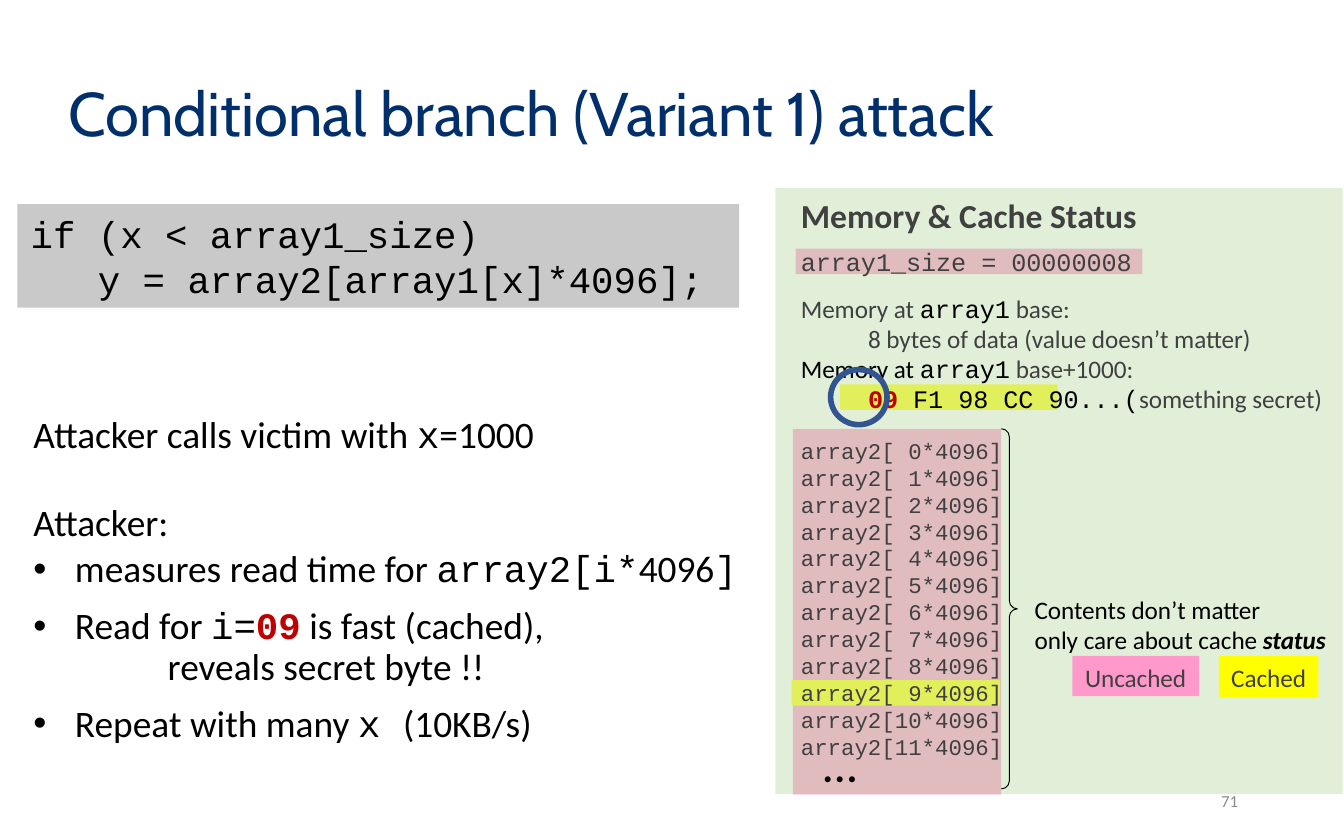
import pptx
import pptx.util
import pptx.dml.color
import pptx.enum.shapes
import pptx.enum.text
import pptx.oxml.ns
import lxml.etree

Inches = pptx.util.Inches
Pt = pptx.util.Pt
KIND = pptx.enum.shapes.MSO_SHAPE
ALIGN = pptx.enum.text.PP_ALIGN
ANCHOR = pptx.enum.text.MSO_ANCHOR
qn = pptx.oxml.ns.qn

PINK, YELLOW = "FF99CC", "FFFF00"
BLACK, GREY, RED = "000000", "404040", "C00000"
SANS, MONO = "Calibri", "Courier New"


def style(size, name=SANS, color=BLACK, **more):
    return dict(size=Pt(size), name=name, color=color, **more)


TITLE = style(33, "Cabin", "002F6C")
CODE = style(20, MONO)
BODY = style(20)
HOT = style(20, MONO, RED, bold=True)
HEAD = style(18, SANS, GREY, bold=True)
NOTE = style(13.5, SANS, GREY)
DARK = style(13.5)
LOUD = style(13.5, bold=True, italic=True)
CELL = style(13.5, MONO)
DIM = style(13.5, MONO, GREY)
LEAK = style(13.5, MONO, RED, bold=True)
ROW = style(12, MONO, GREY)
DOTS = style(9)
PAGE = style(9, SANS, "8C8C8C")

MARKS = [
    (5.92, 1.85, 2.58, 0.19, PINK),
    (6.25, 2.86, 1.62, 0.19, YELLOW),
    (5.9, 3.19, 1.55, 2.72, PINK),
    (5.89, 5.06, 1.55, 0.19, YELLOW),
]
SOURCE = ["if (x < array1_size)", "   y = array2[array1[x]*4096];"]
STATUS = [
    (6.2, [("array1_size = 00000008", DIM)]),
    (9.1, [("Memory at ", NOTE), ("array1", CELL), (" base:", NOTE)]),
    (0, [("\t8 bytes of data (value doesn’t matter)", NOTE)]),
    (0, [("Memory at ", DARK), ("array1", CELL), (" base+1000:", NOTE)]),
    (0, [("\t09", LEAK), (" F1 98 CC 90...(", CELL), ("something secret)", NOTE)]),
]
STEPS = [
    (0, False, [("Attacker calls victim with ", BODY), ("x", CODE), ("=1000", BODY)]),
    (24, False, [("Attacker:", BODY)]),
    (1.5, True, [("measures read time for ", BODY), ("array2[i*", CODE),
                 ("4096", BODY), ("]", CODE)]),
    (7.5, True, [("Read for ", BODY), ("i=", CODE), ("09", HOT),
                 (" is fast (cached),\n\t\treveals secret byte !!", BODY)]),
    (7.5, True, [("Repeat with many ", BODY), ("x ", CODE), ("(10KB/s)", BODY)]),
]
KEYS = [(7.98, 0.94, 0.3, PINK, "Uncached"), (9.07, 0.74, 0.31, YELLOW, "Cached")]
NOTES = [
    (4.37, [("Contents don’t matter", DARK)]),
    (4.6, [("only care about cache ", DARK), ("status", LOUD)]),
]

deck = pptx.Presentation()
deck.slide_width, deck.slide_height = Inches(10), Inches(6.25)
slide = deck.slides.add_slide(deck.slide_layouts[6])


def rgb(code):
    return pptx.dml.color.RGBColor.from_string(code)


def shape(kind, box, fill=None, line=None, width=1):
    item = slide.shapes.add_shape(kind, *map(Inches, box))
    item.shadow.inherit = False
    if fill:
        item.fill.solid()
        item.fill.fore_color.rgb = rgb(fill)
    else:
        item.fill.background()
    if line:
        item.line.color.rgb = rgb(line)
        item.line.width = Pt(width)
    else:
        item.line.fill.background()
    return item


def put(para, text, form):
    for n, part in enumerate(text.split("\n")):
        if n:
            para.add_line_break()
        run = para.add_run()
        run.text = part
        for key, value in form.items():
            if key == "color":
                run.font.color.rgb = rgb(value)
            else:
                setattr(run.font, key, value)


def write(item, paras, anchor=ANCHOR.TOP, wrap=True):
    frame = item.text_frame
    frame.word_wrap, frame.vertical_anchor = wrap, anchor
    for n, (form, runs) in enumerate(paras):
        para = frame.add_paragraph() if n else frame.paragraphs[0]
        for key, value in {"alignment": ALIGN.LEFT, **form}.items():
            setattr(para, key, value)
        for text, look in runs:
            put(para, text, look)
    return frame


def label(box, paras, **more):
    return write(slide.shapes.add_textbox(*map(Inches, box)), paras, **more)


def add(node, tag, **attrs):
    return lxml.etree.SubElement(node, qn(tag), **attrs)


for *box, fill in MARKS:
    shape(KIND.RECTANGLE, box, fill)

label((0.41, 0.55, 9.24, 0.64),
      [({"line_spacing": 0.9}, [("Conditional branch (Variant 1) attack", TITLE)])],
      anchor=ANCHOR.MIDDLE)
write(shape(KIND.RECTANGLE, (0.13, 1.52, 5.37, 0.77), "C9C9C9"),
      [({}, [(text, CODE)]) for text in SOURCE])

panel = shape(KIND.RECTANGLE, (5.77, 1.4, 4.22, 4.51), "C5E0B4")
tint = panel.fill._xPr.find(qn("a:solidFill"))[0]
add(tint, "a:alpha", val="50000")
lines = [({}, [("Memory & Cache Status", HEAD)])]
lines += [({"space_before": Pt(gap), "line_spacing": Pt(16.1)}, runs)
          for gap, runs in STATUS]
lines += [({"space_before": Pt(0 if n else 12.4), "line_spacing": Pt(14.4)},
           [(f"array2[{n:2}*4096]", ROW)]) for n in range(12)]
for para in write(panel, lines).paragraphs:
    prop = para._p.get_or_add_pPr()
    prop.set("marL", str(Inches(0.09)))
    prop.set("indent", "0")
    tabs = add(prop, "a:tabLst")
    add(tabs, "a:tab", pos=str(Inches(0.42)), algn="l")

brace = shape(KIND.RIGHT_BRACE, (7.45, 3.19, 0.12, 2.68), None, BLACK, 0.5)
brace.adjustments[0] = brace.adjustments[1] = 0.5

for left, wide, high, fill, text in KEYS:
    write(shape(KIND.RECTANGLE, (left, 4.88, wide, high), fill),
          [({"alignment": ALIGN.CENTER}, [(text, NOTE)])], wrap=False)
for top, runs in NOTES:
    label((7.6, top, 2.4, 0.33), [({}, runs)])
label((6, 5.66, 0.5, 0.25), [({"alignment": ALIGN.CENTER}, [("• • •", DOTS)])])

steps = label((0.15, 3.05, 5.46, 2.65), [
    ({"line_spacing": 0.9, "space_before": Pt(gap), "space_after": Pt(1.5)}, runs)
    for gap, _, runs in STEPS])
for para, (_, dot, _) in zip(steps.paragraphs, STEPS):
    if dot:
        prop = para._p.get_or_add_pPr()
        prop.set("marL", str(Inches(0.31)))
        prop.set("indent", str(-Inches(0.31)))
        add(add(prop, "a:buClr"), "a:srgbClr", val=BLACK)
        add(prop, "a:buFont", typeface="Arial")
        add(prop, "a:buChar", char="•")

shape(KIND.OVAL, (6.18, 2.75, 0.42, 0.41), None, "325491", 3)
label((7.06, 5.79, 2.25, 0.33), [({"alignment": ALIGN.RIGHT}, [("71", PAGE)])],
      anchor=ANCHOR.MIDDLE)

deck.save("out.pptx")
